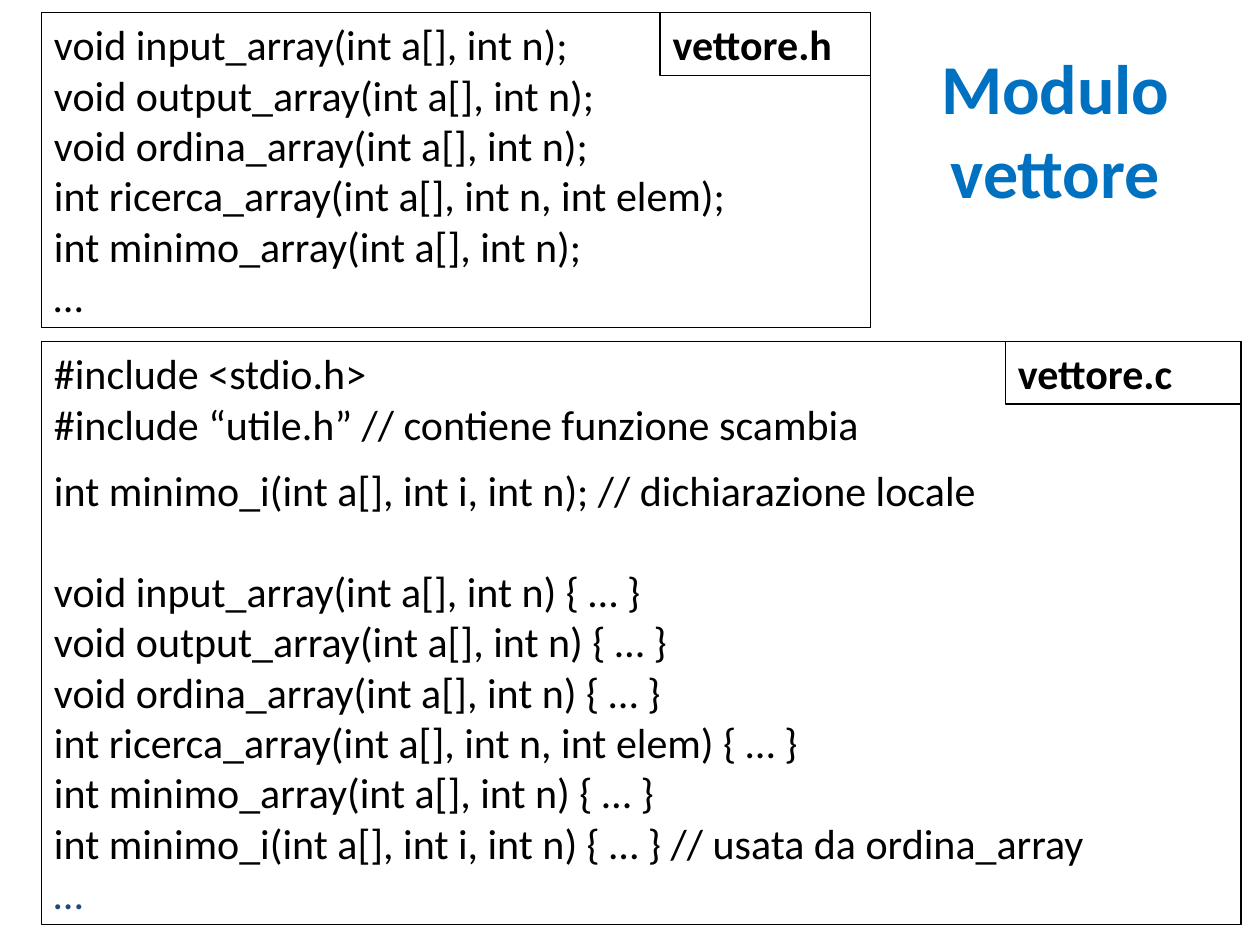
import pptx
import pptx.util
import pptx.dml.color
import pptx.enum.shapes
import pptx.enum.text

Inches, Pt = pptx.util.Inches, pptx.util.Pt
RGBColor = pptx.dml.color.RGBColor
ALIGN = pptx.enum.text.PP_ALIGN
ANCHOR = pptx.enum.text.MSO_ANCHOR

BLACK = RGBColor(0x00, 0x00, 0x00)
BLUE = RGBColor(0x00, 0x70, 0xC0)
NAVY = RGBColor(0x1F, 0x49, 0x7D)
FONT = "Calibri"
HANG = 0.38
LEFT = 0.33
TAB_H = 0.5

# Content: each line is text, space before in points, colour
TITLE = "Modulo vettore"
HEADER = [
    ("void input_array(int a[], int n);", 0, BLACK),
    ("void output_array(int a[], int n);", 0, BLACK),
    ("void ordina_array(int a[], int n);", 0, BLACK),
    ("int ricerca_array(int a[], int n, int elem);", 0, BLACK),
    ("int minimo_array(int a[], int n);", 0, BLACK),
    ("…", 0, BLACK),
]
SOURCE = [
    ("#include <stdio.h>", 0, BLACK),
    ("#include “utile.h” // contiene funzione scambia", 0, BLACK),
    ("int minimo_i(int a[], int i, int n); // dichiarazione locale", 9, BLACK),
    ("void input_array(int a[], int n) { … }", 29, BLACK),
    ("void output_array(int a[], int n) { … }", 0, BLACK),
    ("void ordina_array(int a[], int n) { … }", 0, BLACK),
    ("int ricerca_array(int a[], int n, int elem) { … }", 0, BLACK),
    ("int minimo_array(int a[], int n) { … }", 0, BLACK),
    ("int minimo_i(int a[], int i, int n) { … } // usata da ordina_array", 0, BLACK),
    ("…", 0, NAVY),
]
# File name, name box width, panel top, width, height, lines
FILES = [
    ("vettore.h", 1.67, 0.1, 6.58, 2.5, HEADER),
    ("vettore.c", 1.87, 2.71, 9.52, 4.63, SOURCE),
]


def style(para, size, color, bold=False):
    font = para.font
    for item in [font] + [run.font for run in para.runs]:
        item.name, item.size, item.bold = FONT, Pt(size), bold
        item.color.rgb = color


def add_box(slide, x, y, w, h, weight, lines, bold=False, hang=0):
    box = slide.shapes.add_shape(
        pptx.enum.shapes.MSO_SHAPE.RECTANGLE,
        Inches(x), Inches(y), Inches(w), Inches(h))
    box.shadow.inherit = False
    box.fill.background()
    box.line.color.rgb = BLACK
    box.line.width = Pt(weight)
    frame = box.text_frame
    frame.word_wrap = True
    frame.vertical_anchor = ANCHOR.TOP
    frame.text = "\n".join(text for text, gap, color in lines)
    for para, (text, gap, color) in zip(frame.paragraphs, lines):
        para.alignment = ALIGN.LEFT
        para.space_before = Pt(gap)
        props = para._p.get_or_add_pPr()
        props.set("marL", str(Inches(hang)))
        props.set("indent", str(-Inches(hang)))
        style(para, 24, color, bold)


def main():
    deck = pptx.Presentation()
    deck.slide_width, deck.slide_height = Inches(10), Inches(7.5)
    slide = deck.slides.add_slide(deck.slide_layouts[6])

    # Title
    title = slide.shapes.add_textbox(
        Inches(6.9), Inches(0.25), Inches(2.95), Inches(1.54))
    frame = title.text_frame
    frame.word_wrap = True
    frame.vertical_anchor = ANCHOR.MIDDLE
    frame.text = TITLE
    frame.paragraphs[0].alignment = ALIGN.CENTER
    style(frame.paragraphs[0], 40, BLUE, True)

    # Code panels, each with its file name in the top right corner
    for name, tab, top, width, height, lines in FILES:
        add_box(slide, LEFT, top, width, height, 0.75, lines, hang=HANG)
        add_box(slide, LEFT + width - tab, top, tab, TAB_H, 1,
                [(name, 0, BLACK)], bold=True)

    deck.save("out.pptx")


if __name__ == "__main__":
    main()
